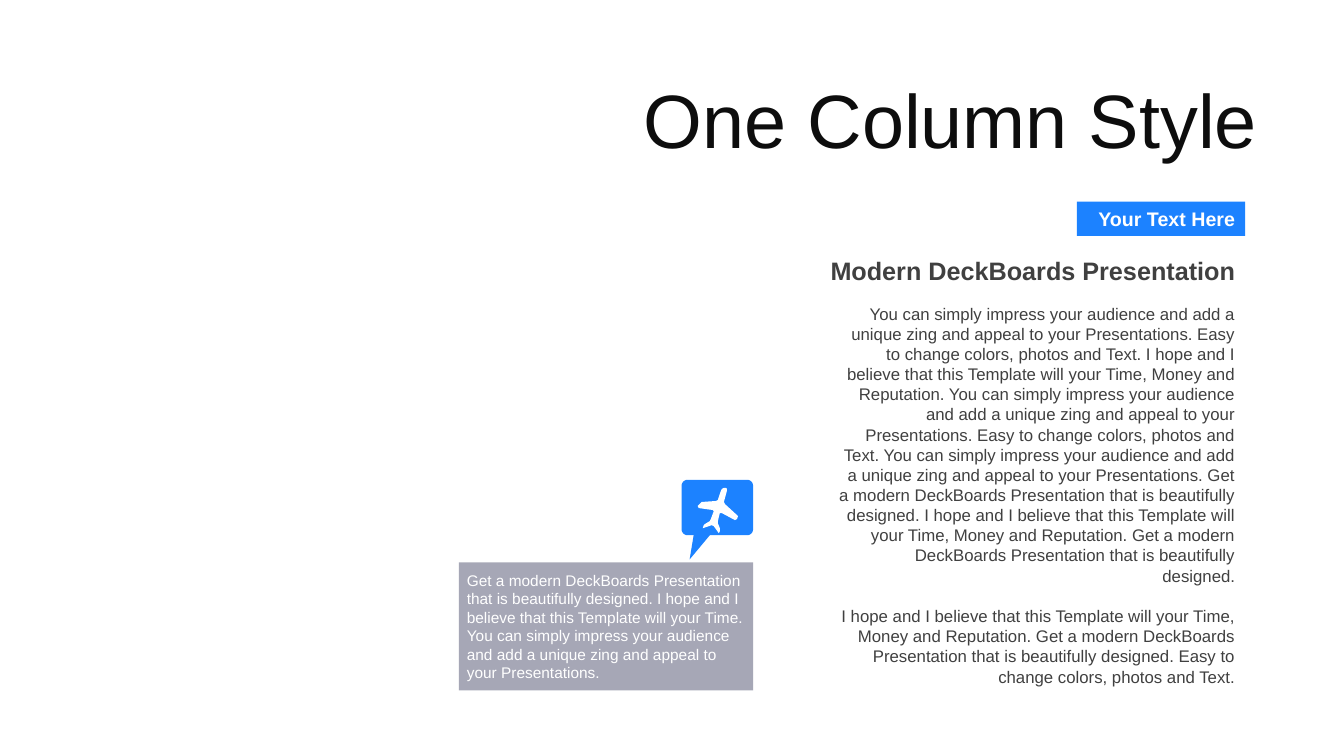
import math

import pptx
import pptx.dml.color
import pptx.enum.shapes
import pptx.enum.text
import pptx.oxml
import pptx.oxml.ns
import pptx.util
from pptx.util import Inches

RGBColor = pptx.dml.color.RGBColor
ALIGN = pptx.enum.text.PP_ALIGN
ANCHOR = pptx.enum.text.MSO_ANCHOR
RECTANGLE = pptx.enum.shapes.MSO_SHAPE.RECTANGLE

BLUE = RGBColor(0x1C, 0x82, 0xFF)
SLATE = RGBColor(0x56, 0x58, 0x74)
WHITE = RGBColor(0xFF, 0xFF, 0xFF)
BLACK = RGBColor(0x0D, 0x0D, 0x0D)
GREY = RGBColor(0x40, 0x40, 0x40)

IMPRESS = ("You can simply impress your audience and add a unique zing and "
           "appeal to your Presentations.")
EASY = "Easy to change colors, photos and Text."
HOPE = "I hope and I believe that this Template will your Time"
SAVINGS = f"{HOPE}, Money and Reputation."
MODERN = "Get a modern DeckBoards Presentation that is beautifully designed."
BODY = [
    f"{IMPRESS} {EASY} {SAVINGS} {IMPRESS} {EASY} {IMPRESS} {MODERN} "
    f"{SAVINGS} {MODERN}",
    f"{SAVINGS} {MODERN} {EASY}",
]

PLANE = [
    (37, 53), (32, 46), (30, 45), (21, 48), (22, 45), (23, 44), (28, 41),
    (29, 39), (32, 31), (31, 30), (17, 28), (16, 26), (20, 22), (34, 21),
    (36, 20), (39, 11), (40, 9), (42, 8), (44, 8), (45, 9), (45, 11),
    (42, 22), (43, 24), (55, 35), (56, 36), (55, 39), (53, 40), (40, 33),
    (38, 33), (36, 41), (36, 43), (38, 48), (38, 51),
]


def write(frame, paragraphs, *, size, color, bold=False, align=ALIGN.LEFT,
          anchor=ANCHOR.TOP, gap=0):
    """Fill a text frame with evenly formatted paragraphs."""
    frame.word_wrap = True
    frame.vertical_anchor = anchor
    for index, wording in enumerate(paragraphs):
        paragraph = frame.paragraphs[0] if index == 0 else frame.add_paragraph()
        paragraph.text = wording
        paragraph.alignment = align
        if index:
            paragraph.space_before = pptx.util.Pt(gap)
        paragraph.font.name = "Arial"
        paragraph.font.size = pptx.util.Pt(size)
        paragraph.font.bold = bold
        paragraph.font.color.rgb = color


def paint(shape, color):
    """Give a shape a plain fill without line or shadow."""
    shape.shadow.inherit = False
    shape.fill.solid()
    shape.fill.fore_color.rgb = color
    shape.line.fill.background()


def draw_outline(slide, left, top, points, color):
    """Draw a closed shape from points relative to a corner, in inches."""
    placed = [(Inches(left + x), Inches(top + y)) for x, y in points]
    builder = slide.shapes.build_freeform(*placed[0])
    builder.add_line_segments(placed[1:], close=True)
    paint(builder.convert_to_shape(), color)


def add_title(slide, left, top, width, height):
    """Place the slide title."""
    title = slide.shapes.title
    title.left, title.top = Inches(left), Inches(top)
    title.width, title.height = Inches(width), Inches(height)
    write(title.text_frame, ["One Column Style"], size=54, color=BLACK,
          align=ALIGN.RIGHT, anchor=ANCHOR.MIDDLE)


def add_plane_bubble(slide, left, top, width, height):
    """Draw a rounded speech bubble holding a plane."""
    radius, tail = 0.06, 0.24
    bottom = height - tail

    def corner(x, y, start):
        return [(x + radius * math.cos(math.radians(start + step)),
                 y + radius * math.sin(math.radians(start + step)))
                for step in range(0, 91, 15)]

    bubble = (corner(radius, radius, 180)
              + corner(width - radius, radius, 270)
              + corner(width - radius, bottom - radius, 0)
              + [(0.28, bottom), (0.08, height), (0.12, bottom)]
              + corner(radius, bottom - radius, 90))
    draw_outline(slide, left, top, bubble, BLUE)
    draw_outline(slide, left, top, [(x / 100, y / 100) for x, y in PLANE], WHITE)


def add_caption(slide, left, top, width, height):
    """Place the translucent caption panel."""
    caption = slide.shapes.add_shape(
        RECTANGLE, Inches(left), Inches(top), Inches(width), Inches(height))
    paint(caption, SLATE)
    fill_color = caption.element.spPr.find(".//" + pptx.oxml.ns.qn("a:srgbClr"))
    fill_color.append(pptx.oxml.parse_xml(
        f'<a:alpha {pptx.oxml.ns.nsdecls("a")} val="52000"/>'))
    frame = caption.text_frame
    frame.margin_left = frame.margin_right = Inches(0.08)
    frame.margin_top = frame.margin_bottom = Inches(0.08)
    write(frame, [f"{MODERN} {HOPE}. {IMPRESS}"], size=11, color=WHITE,
          anchor=ANCHOR.MIDDLE)


def add_column(slide, left, top, width, height):
    """Stack the label, heading and body against the right edge."""
    right, label_width, body_width = left + width, 1.67, 4.13
    label = slide.shapes.add_shape(
        RECTANGLE, Inches(right - label_width), Inches(top),
        Inches(label_width), Inches(0.34))
    paint(label, BLUE)
    write(label.text_frame, ["Your Text Here"], size=14, color=WHITE,
          bold=True, align=ALIGN.RIGHT)

    heading = slide.shapes.add_textbox(
        Inches(left), Inches(top + 0.48), Inches(width), Inches(0.4))
    write(heading.text_frame, ["Modern DeckBoards Presentation"], size=18,
          color=GREY, bold=True, align=ALIGN.RIGHT)

    body = slide.shapes.add_textbox(
        Inches(right - body_width), Inches(top + 0.96),
        Inches(body_width), Inches(height - 0.96))
    write(body.text_frame, BODY, size=12, color=GREY, align=ALIGN.RIGHT,
          gap=14.5)


def main():
    """Build and save the slide."""
    deck = pptx.Presentation()
    deck.slide_width, deck.slide_height = Inches(13.33), Inches(7.5)
    slide = deck.slides.add_slide(deck.slide_layouts.get_by_name("Title Only"))
    add_title(slide, 5.8, 0.67, 6.77, 1.01)
    add_plane_bubble(slide, 6.76, 4.76, 0.71, 0.79)
    add_caption(slide, 4.55, 5.58, 2.92, 1.27)
    add_column(slide, 7.77, 2, 4.58, 4.7)
    deck.save("out.pptx")


if __name__ == "__main__":
    main()
